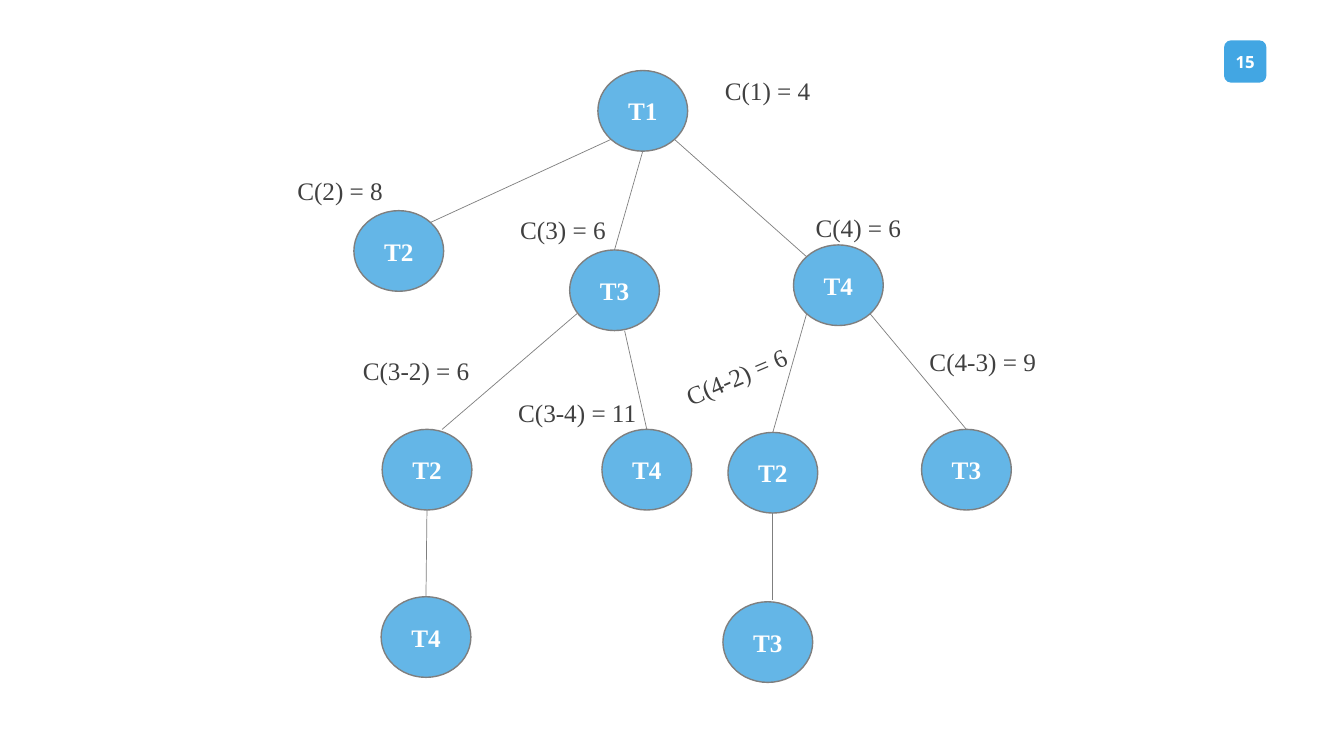
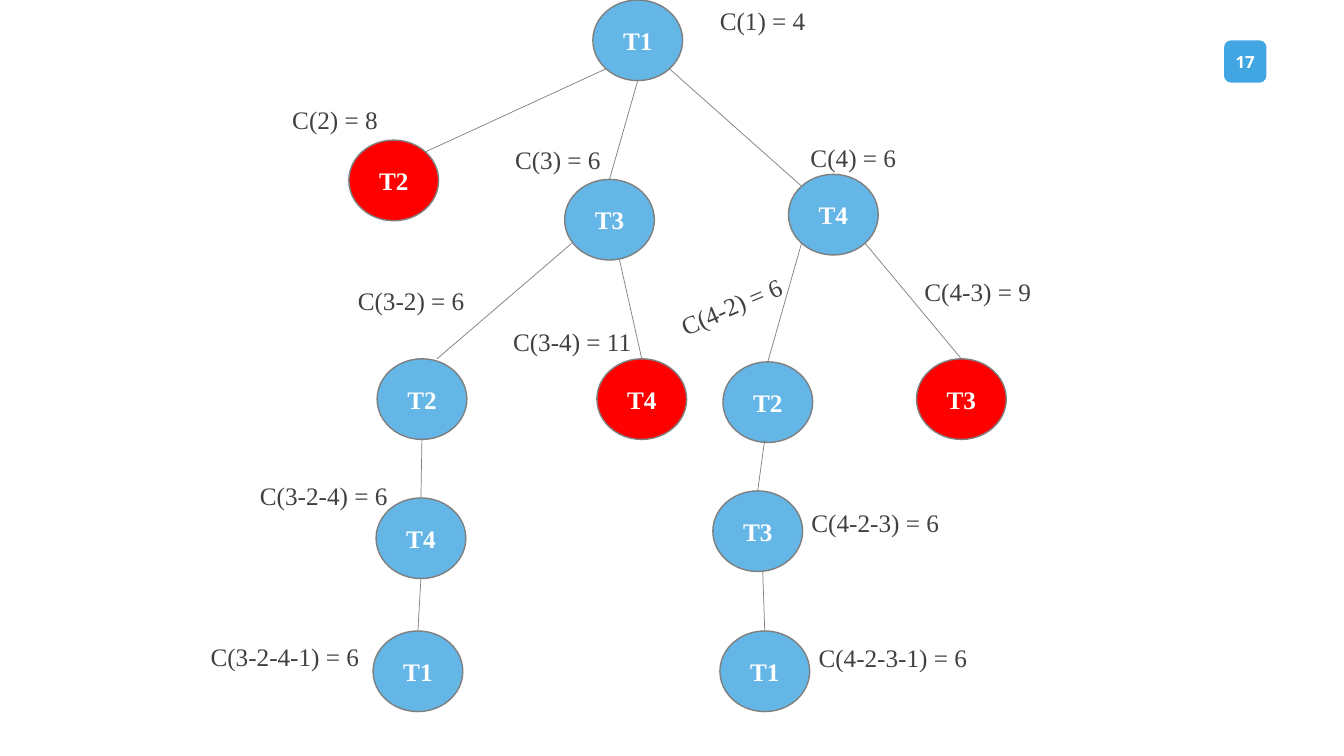
import math

from lxml import etree
from pptx import Presentation
from pptx.dml.color import RGBColor
from pptx.enum import shapes, text
from pptx.oxml.ns import qn
from pptx.util import Inches, Pt

BLUE, RED, BADGE = "64B6E7", "FF0000", "42A6E3"
GREY, DARK, WHITE = "7F7F7F", "404040", "FFFFFF"
SERIF, SANS = "Times New Roman", "Open Sans"
NODE_W, NODE_H = 0.89, 0.8

# Connection sites of an ellipse, counted anticlockwise from the top
TOP, TOP_LEFT, BOTTOM_LEFT, BOTTOM, BOTTOM_RIGHT, TOP_RIGHT = 0, 1, 3, 4, 5, 7

# A node is named by its path from the root: left, top
TREE_NODES = {
    "1": (5.93, 0.7),
    "2": (3.51, 2.09),
    "3": (5.65, 2.48),
    "4": (7.87, 2.43),
    "3-2": (3.79, 4.26),
    "3-4": (5.97, 4.26),
    "4-2": (7.22, 4.29),
    "4-3": (9.14, 4.26),
}
# Path: cost, left, top, rotation
TREE_COSTS = {
    "1": (4, 7.09, 0.7, 0),
    "2": (8, 2.85, 1.69, 0),
    "3": (6, 5.06, 2.08, 0),
    "4": (6, 7.99, 2.06, 0),
    "3-2": (6, 3.5, 3.48, 0),
    "3-4": (11, 5.04, 3.89, 0),
    "4-2": (6, 6.67, 3.51, 336.8),
    "4-3": (9, 9.12, 3.39, 0),
}
# Child: end at the parent, end at the child (a site, or an offset from the centre)
TREE_EDGES = {
    "2": (BOTTOM_LEFT, TOP_RIGHT),
    "3": (BOTTOM, TOP),
    "4": (BOTTOM_RIGHT, TOP_LEFT),
    "3-2": ((-0.37, 0.23), (0.15, -0.4)),
    "3-4": ((0.1, 0.4), TOP),
    "4-2": (BOTTOM_LEFT, TOP),
    "4-3": (BOTTOM_RIGHT, TOP),
}
# "shift" moves the shared tree; the other positions are final
SLIDES = [
    {
        "number": 15,
        "shift": (0, 0),
        "pruned": (),
        "nodes": {"3-2-4": (3.78, 5.92), "4-2-3": (7.17, 5.97)},
        "costs": {},
        "edges": {"3-2-4": (BOTTOM, TOP), "4-2-3": (BOTTOM, (0.05, -0.42))},
    },
    {
        "number": 17,
        "shift": (-0.05, -0.7),
        "pruned": ("2", "3-4", "4-3"),
        "nodes": {
            "3-2-4": (3.73, 4.94),
            "4-2-3": (7.07, 4.87),
            "3-2-4-1": (3.7, 6.26),
            "4-2-3-1": (7.14, 6.26),
        },
        "costs": {
            "3-2-4": (6, 2.48, 4.72, 0),
            "4-2-3": (6, 7.95, 4.98, 0),
            "3-2-4-1": (6, 1.99, 6.31, 0),
            "4-2-3-1": (6, 8.02, 6.32, 0),
        },
        "edges": {
            "3-2-4": (BOTTOM, TOP),
            "4-2-3": ((-0.03, 0.37), TOP),
            "3-2-4-1": (BOTTOM, TOP),
            "4-2-3-1": ((0.05, 0.4), TOP),
        },
    },
]


def color(value):
    return RGBColor.from_string(value)


def write(shape, words, size, font, ink, bold=False):
    run = shape.text_frame.paragraphs[0].add_run()
    run.text = words
    run.font.size, run.font.name, run.font.bold = Pt(size), font, bold
    run.font.color.rgb = color(ink)


def add_filled(slide, kind, left, top, width, height, fill, outline=None):
    shape = slide.shapes.add_shape(
        kind, Inches(left), Inches(top), Inches(width), Inches(height))
    shape.shadow.inherit = False
    shape.fill.solid()
    shape.fill.fore_color.rgb = color(fill)
    if outline:
        shape.line.color.rgb = color(outline)
        shape.line.width = Pt(1)
    else:
        shape.line.fill.background()
    shape.text_frame.vertical_anchor = text.MSO_ANCHOR.MIDDLE
    shape.text_frame.paragraphs[0].alignment = text.PP_ALIGN.CENTER
    return shape


def add_badge(slide, number):
    badge = add_filled(slide, shapes.MSO_SHAPE.ROUNDED_RECTANGLE,
                       12.14, 0.4, 0.42, 0.42, BADGE)
    frame = badge.text_frame
    frame.margin_left = frame.margin_right = 0
    write(badge, str(number), 12, SANS, WHITE, bold=True)


def add_node(slide, path_name, left, top, fill):
    node = add_filled(slide, shapes.MSO_SHAPE.OVAL,
                      left, top, NODE_W, NODE_H, fill, GREY)
    write(node, "T" + path_name[-1], 18, SERIF, WHITE, bold=True)
    return node


def add_cost(slide, path_name, cost, left, top, rotation):
    width = 1.38 if len(path_name) <= 3 else 1.7
    box = slide.shapes.add_textbox(
        Inches(left), Inches(top), Inches(width), Inches(0.4))
    box.rotation = rotation
    box.text_frame.word_wrap = True
    box.text_frame.auto_size = text.MSO_AUTO_SIZE.SHAPE_TO_FIT_TEXT
    write(box, f"C({path_name}) = {cost}", 18, SERIF, DARK)


def end_point(node, end):
    """Slide position of a site or of an offset from the node's centre."""
    if isinstance(end, int):
        angle = math.radians(90 + 45 * end)
        end = NODE_W / 2 * math.cos(angle), -NODE_H / 2 * math.sin(angle)
    return (node.left + node.width // 2 + Inches(end[0]),
            node.top + node.height // 2 + Inches(end[1]))


def add_edge(slide, parent, child, ends):
    points = [end_point(node, end) for node, end in zip((parent, child), ends)]
    edge = slide.shapes.add_connector(
        shapes.MSO_CONNECTOR.STRAIGHT, *points[0], *points[1])
    edge.line.color.rgb = color(GREY)
    edge.line.width = Pt(0.5)
    etree.SubElement(edge._element.spPr, qn("a:effectLst"))
    # begin_connect only knows four sites; an ellipse has eight
    joints = edge._element.find(".//" + qn("p:cNvCxnSpPr"))
    for tag, node, end in zip(("a:stCxn", "a:endCxn"), (parent, child), ends):
        if isinstance(end, int):
            etree.SubElement(joints, qn(tag), id=str(node.shape_id), idx=str(end))


def add_tree(slide, content):
    dx, dy = content["shift"]
    places = {name: (x + dx, y + dy) for name, (x, y) in TREE_NODES.items()}
    costs = {name: (cost, x + dx, y + dy, rotation)
             for name, (cost, x, y, rotation) in TREE_COSTS.items()}
    nodes = {}
    for name, place in {**places, **content["nodes"]}.items():
        fill = RED if name in content["pruned"] else BLUE
        nodes[name] = add_node(slide, name, *place, fill)
    for name, ends in {**TREE_EDGES, **content["edges"]}.items():
        parent = name.rpartition("-")[0] or "1"
        add_edge(slide, nodes[parent], nodes[name], ends)
    for name, label in {**costs, **content["costs"]}.items():
        add_cost(slide, name, *label)


def main():
    presentation = Presentation()
    presentation.slide_width = Inches(13.33)
    presentation.slide_height = Inches(7.5)
    blank = presentation.slide_layouts[6]
    for content in SLIDES:
        slide = presentation.slides.add_slide(blank)
        add_badge(slide, content["number"])
        add_tree(slide, content)
    presentation.save("out.pptx")


if __name__ == "__main__":
    main()
